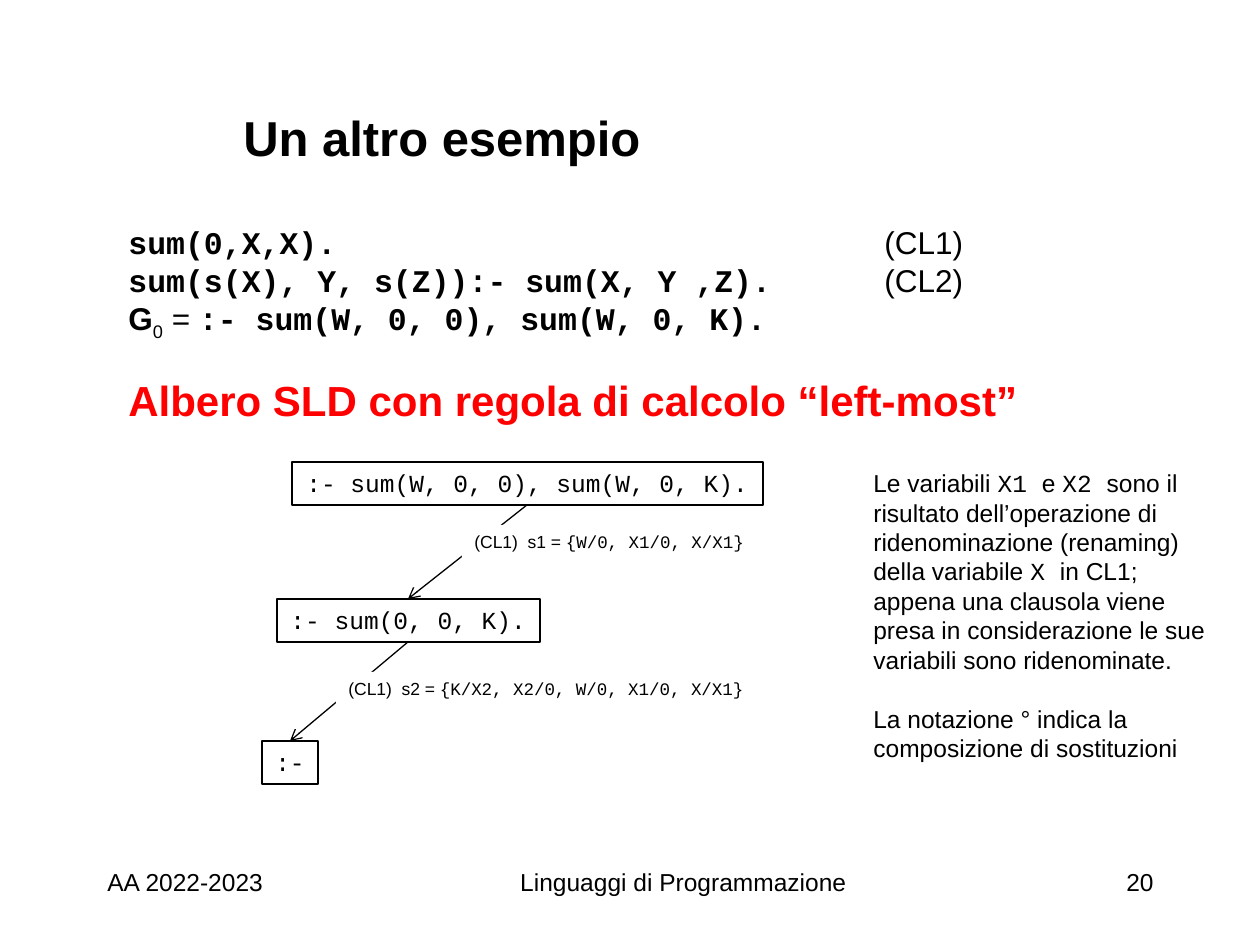
from dataclasses import dataclass

from lxml import etree
from pptx import Presentation, util as u
from pptx.dml.color import RGBColor
from pptx.enum import shapes, text
from pptx.oxml import ns

PX = 914400 // 126
LEFT, CENTER, RIGHT = text.PP_ALIGN.LEFT, text.PP_ALIGN.CENTER, text.PP_ALIGN.RIGHT


@dataclass(frozen=True)
class Theme:
    """Colours, fonts and type sizes of the slide."""
    ink: str = "000000"
    accent: str = "FF0000"
    paper: str = "FFFFFF"
    sans: str = "Arial"
    mono: str = "Courier New"
    title: int = 28
    heading: int = 24
    code: int = 18
    body: int = 14
    label: int = 10
    line: float = 0.75


T = Theme()
CODE = dict(font=T.mono)
BOLD_CODE = dict(font=T.mono, bold=True)


def px(n):
    """Turn pixels into EMU."""
    return u.Emu(round(n * PX))


def add_sub(parent, tag, **attrs):
    """Append an XML element with attributes."""
    return etree.SubElement(parent, ns.qn(tag), attrs)


def write(sp, paragraphs, size=T.body, color=T.ink, font=T.sans, bold=False,
          align=LEFT, wrap=True, anchor=text.MSO_ANCHOR.TOP, gap=0, tab=None):
    """Fill a shape with paragraphs, each a list of (text, format) runs."""
    tf = sp.text_frame
    tf.word_wrap, tf.vertical_anchor = wrap, anchor
    for i, runs in enumerate(paragraphs):
        p = tf.add_paragraph() if i else tf.paragraphs[0]
        p.alignment = align
        p.space_before = u.Pt(gap if i else 0)
        if tab:
            tabs = add_sub(p._p.get_or_add_pPr(), "a:tabLst")
            add_sub(tabs, "a:tab", pos=str(px(tab)), algn="l")
        for words, fmt in runs:
            r = p.add_run()
            r.text = words
            r.font.size = u.Pt(size)
            r.font.name = fmt.get("font", font)
            r.font.bold = fmt.get("bold", bold)
            r.font.color.rgb = RGBColor.from_string(color)
            if "baseline" in fmt:
                r.font._element.set("baseline", str(fmt["baseline"]))


def textbox(s, box, paragraphs, **fmt):
    """Add a text box; a plain string makes one paragraph."""
    if isinstance(paragraphs, str):
        paragraphs = [[(paragraphs, {})]]
    write(s.shapes.add_textbox(*map(px, box)), paragraphs, **fmt)


def rect(s, box, paragraphs, outlined, **fmt):
    """Add an outlined goal box or a white label box."""
    sp = s.shapes.add_shape(shapes.MSO_SHAPE.RECTANGLE, *map(px, box))
    sp.shadow.inherit = False
    if outlined:
        sp.fill.background()
        sp.line.color.rgb = RGBColor.from_string(T.ink)
        sp.line.width = u.Pt(T.line)
    else:
        sp.fill.solid()
        sp.fill.fore_color.rgb = RGBColor.from_string(T.paper)
        sp.line.fill.background()
    write(sp, paragraphs, wrap=False, **fmt)


def arrow(s, start, end):
    """Draw an open-headed arrow between two points."""
    c = s.shapes.add_connector(shapes.MSO_CONNECTOR.STRAIGHT, *map(px, start + end))
    c.line.color.rgb = RGBColor.from_string(T.ink)
    c.line.width = u.Pt(T.line)
    add_sub(c.line._get_or_add_ln(), "a:tailEnd", type="arrow")
    add_sub(c._element.spPr, "a:effectLst")


def header(s, x, y):
    """Place the title, the program and the section heading."""
    textbox(s, (x + 115, y, 935, 105), "Un altro esempio", size=T.title,
            bold=True, anchor=text.MSO_ANCHOR.MIDDLE)
    program = [
        [("sum(0,X,X).\t", BOLD_CODE), ("(CL1)", {})],
        [("sum(s(X), Y, s(Z)):- sum(X, Y ,Z).\t", BOLD_CODE), ("(CL2)", {})],
        [("G", dict(bold=True)), ("0", dict(baseline=-25000)), (" = ", {}),
         (":- sum(W, 0, 0), sum(W, 0, K).", BOLD_CODE)],
    ]
    textbox(s, (x, y + 133, 868, 127), program, size=T.code, tab=756)
    textbox(s, (x, y + 284, 915, 63), "Albero SLD con regola di calcolo “left-most”",
            size=T.heading, color=T.accent, bold=True, wrap=False)


def sld_tree(s, x, y):
    """Place the goals, the arrows joining them and the substitutions."""
    height = 43
    goals = [(30, 0, 471, ":- sum(W, 0, 0), sum(W, 0, K)."),
             (15, 137, 263, ":- sum(0, 0, K)."),
             (0, 279, 56, ":-")]
    steps = [(200, 63, 299, "s1", "{W/0, X1/0, X/X1}"),
             (74, 210, 426, "s2", "{K/X2, X2/0, W/0, X1/0, X/X1}")]
    for dx, dy, w, goal in goals:
        rect(s, (x + dx, y + dy, w, height), [[(goal, CODE)]], True, align=CENTER)
    for (ax, ay, aw, _), (bx, by, bw, _) in zip(goals, goals[1:]):
        arrow(s, (x + ax + aw // 2, y + ay + height), (x + bx + bw // 2, y + by))
    for dx, dy, w, name, bindings in steps:
        runs = [(f"(CL1)  {name} = ", {}), (bindings, CODE)]
        rect(s, (x + dx, y + dy, w, 34), [runs], False, size=T.label)


def remarks(s, x, y):
    """Place the explanation beside the tree."""
    renaming = [
        ("Le variabili ", {}), ("X1 ", CODE), ("e ", {}), ("X2 ", CODE),
        ("sono il risultato dell’operazione di ridenominazione (renaming) "
         "della variabile ", {}), ("X ", CODE),
        ("in CL1; appena una clausola viene presa in considerazione le sue "
         "variabili sono ridenominate.", {})]
    notation = [("La notazione ° indica la composizione di sostituzioni", {})]
    textbox(s, (x, y, 357, 310), [renaming, notation], gap=17)


def footer(s, x, y):
    """Place the year, the course and the slide number."""
    for dx, w, words, align in [(0, 315, "AA 2022-2023", LEFT),
                                (305, 567, "Linguaggi di Programmazione", CENTER),
                                (819, 252, "20", RIGHT)]:
        textbox(s, (x + dx, y, w, 63), words, align=align)


prs = Presentation()
prs.slide_width, prs.slide_height = px(1260), px(945)
s = prs.slides.add_slide(prs.slide_layouts[6])
header(s, 116, 84)
sld_tree(s, 262, 462)
remarks(s, 861, 462)
footer(s, 95, 861)
prs.save("out.pptx")
